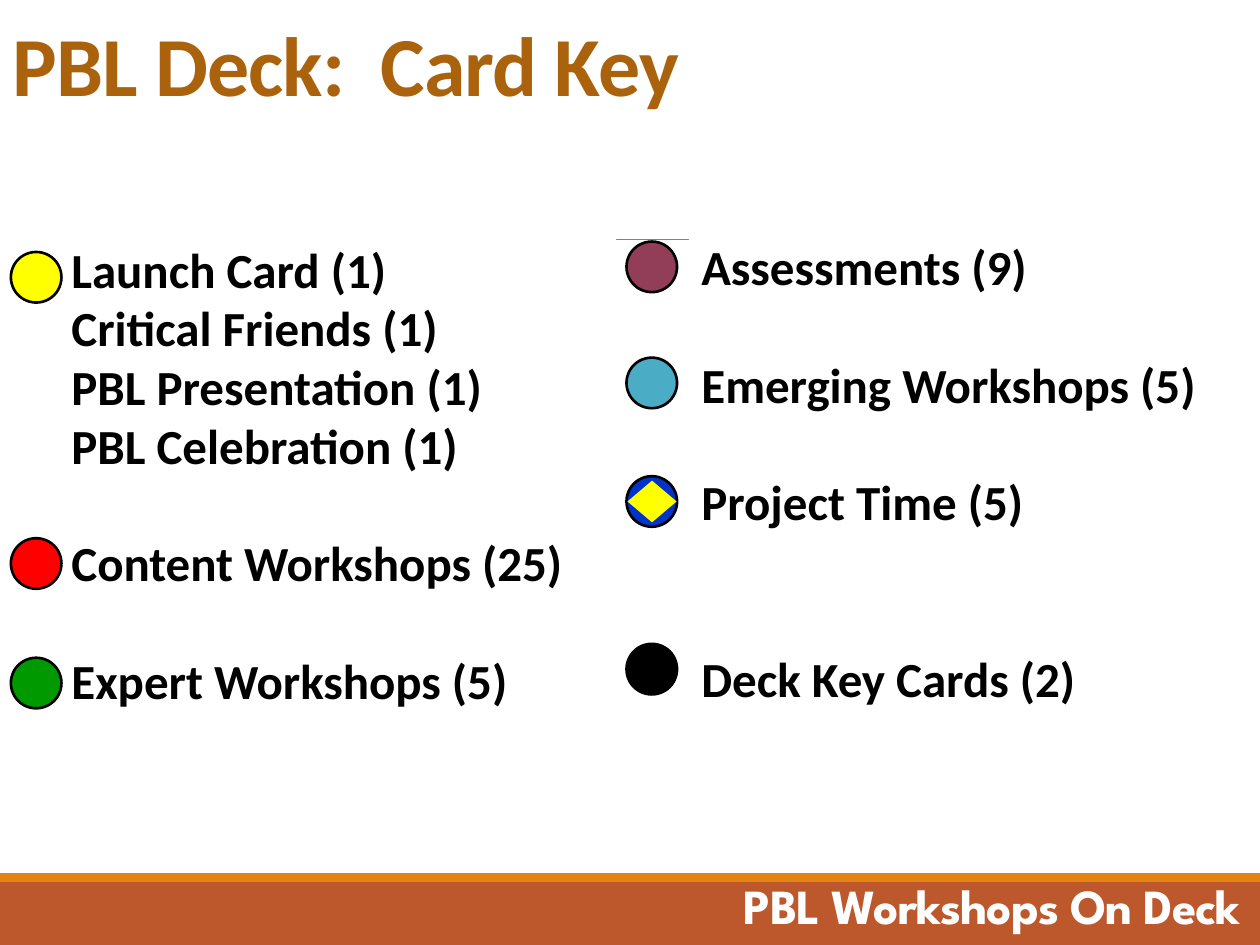
from lxml.etree import SubElement
from pptx import Presentation
from pptx.dml.color import RGBColor
from pptx.enum.shapes import MSO_CONNECTOR as CONN, MSO_SHAPE as SHAPE
from pptx.enum.text import MSO_ANCHOR as ANCHOR, PP_ALIGN as ALIGN
from pptx.oxml.ns import qn
from pptx.util import Cm, Pt

COLORS = {
    "white": "FFFFFF", "black": "000000", "rust": "BD582C", "orange": "E48312",
    "brown": "AB620D", "gray": "808080", "yellow": "FFFF00", "red": "FF0000",
    "green": "009900", "plum": "923E58", "teal": "4BACC6", "blue": "0033CC",
}
LINE = 33.6
DOT = 1.02
LEFT_ENTRIES = [
    ("Launch Card (1)", 0), ("Critical Friends (1)", 0),
    ("PBL Presentation (1)", 0), ("PBL Celebration (1)", 0),
    ("Content Workshops (25)", 1), ("Expert Workshops (5)", 1),
]
RIGHT_ENTRIES = [
    ("Assessments (9)", 0), ("Emerging Workshops (5)", 1),
    ("Project Time (5)", 1), ("Deck Key Cards (2)", 2),
]
LEFT_DOTS = [("yellow", 1.19), ("red", 6.96), ("green", 9.37)]
RIGHT_DOTS = [("plum", 0.3), ("teal", 2.64), ("blue", 5.03), ("black", 8.41)]


def rgb(name):
    """Return the named colour."""
    return RGBColor.from_string(COLORS[name])


def apply(obj, values):
    """Set attributes of an object from a dict."""
    for name, value in values.items():
        setattr(obj, name, value)


def add_shape(s, kind, box, fill, outline=None):
    """Add a filled shape with an optional outline."""
    sp = s.shapes.add_shape(kind, *map(Cm, box))
    sp.shadow.inherit = False
    sp.fill.solid()
    sp.fill.fore_color.rgb = rgb(fill)
    if outline:
        sp.line.color.rgb = rgb(outline)
        sp.line.width = Pt(1.5)
    else:
        sp.line.fill.background()
    return sp


def add_run(p, text, size, color, font="Calibri"):
    """Add a bold run to a paragraph."""
    r = p.add_run()
    r.text = text
    apply(r.font, {"name": font, "size": Pt(size), "bold": True})
    r.font.color.rgb = rgb(color)
    return r


def add_heading(s, box, text, size, color, font="Calibri", align=ALIGN.LEFT):
    """Add one line of tightly spaced heading text."""
    tf = s.shapes.add_textbox(*map(Cm, box)).text_frame
    tf.word_wrap = True
    p = tf.paragraphs[0]
    apply(p, {"alignment": align, "line_spacing": 0.85})
    r = add_run(p, text, size, color, font)
    r.font._element.set("spc", "-50")


def add_rule(s, x, y, width):
    """Add the thin horizontal rule."""
    line = s.shapes.add_connector(CONN.STRAIGHT, Cm(x), Cm(y), Cm(x + width), Cm(y))
    line.line.color.rgb = rgb("gray")
    line.line.width = Pt(0.5)
    SubElement(line._element.spPr, qn("a:effectLst"))


def add_footer(s, x, y, width, height):
    """Add the footer band with its stripe and caption."""
    add_shape(s, SHAPE.RECTANGLE, (x, y, width, height), "rust")
    add_shape(s, SHAPE.RECTANGLE, (x, y - 0.18, width, 0.18), "orange")
    add_heading(s, (x + 4.29, y - 0.08, 20.96, 1.6), "PBL Workshops On Deck", 28,
                "white", "League Spartan", ALIGN.RIGHT)


def add_key_column(s, box, inset, entries, dots, dot_dx):
    """Add a panel of card names with colour dots beside it."""
    x, y = box[:2]
    tf = add_shape(s, SHAPE.RECTANGLE, box, "white").text_frame
    apply(tf, {"word_wrap": True, "vertical_anchor": ANCHOR.TOP, "margin_top": Cm(inset)})
    for i, (text, gap) in enumerate(entries):
        p = tf.add_paragraph() if i else tf.paragraphs[0]
        apply(p, {"alignment": ALIGN.LEFT, "line_spacing": Pt(LINE),
                  "space_before": Pt(gap * LINE)})
        add_run(p, text, 28, "black")
    for color, dy in dots:
        add_shape(s, SHAPE.OVAL, (x + dot_dx, y + dy, DOT, DOT), color, "black")
        if color == "blue":
            add_shape(s, SHAPE.DIAMOND, (x + dot_dx + 0.02, y + dy + 0.09, 0.99, 0.84), "yellow")


def main():
    """Build and save the card key slide."""
    prs = Presentation()
    apply(prs, {"slide_width": Cm(25.4), "slide_height": Cm(19.05)})
    s = prs.slides.add_slide(prs.slide_layouts[6])
    add_footer(s, 0, 17.78, 25.4, 1.27)
    add_rule(s, 2.49, 4.83, 20.75)
    add_key_column(s, (13.89, 4.57, 10.69, 9.83), 0.2, RIGHT_ENTRIES, RIGHT_DOTS, -1.26)
    add_key_column(s, (1.19, 3.89, 11.23, 11.79), 0.93, LEFT_ENTRIES, LEFT_DOTS, -0.97)
    add_heading(s, (0, 0.43, 20.96, 2.39), "PBL Deck:  Card Key", 48, "brown")
    prs.save("out.pptx")


if __name__ == "__main__":
    main()
